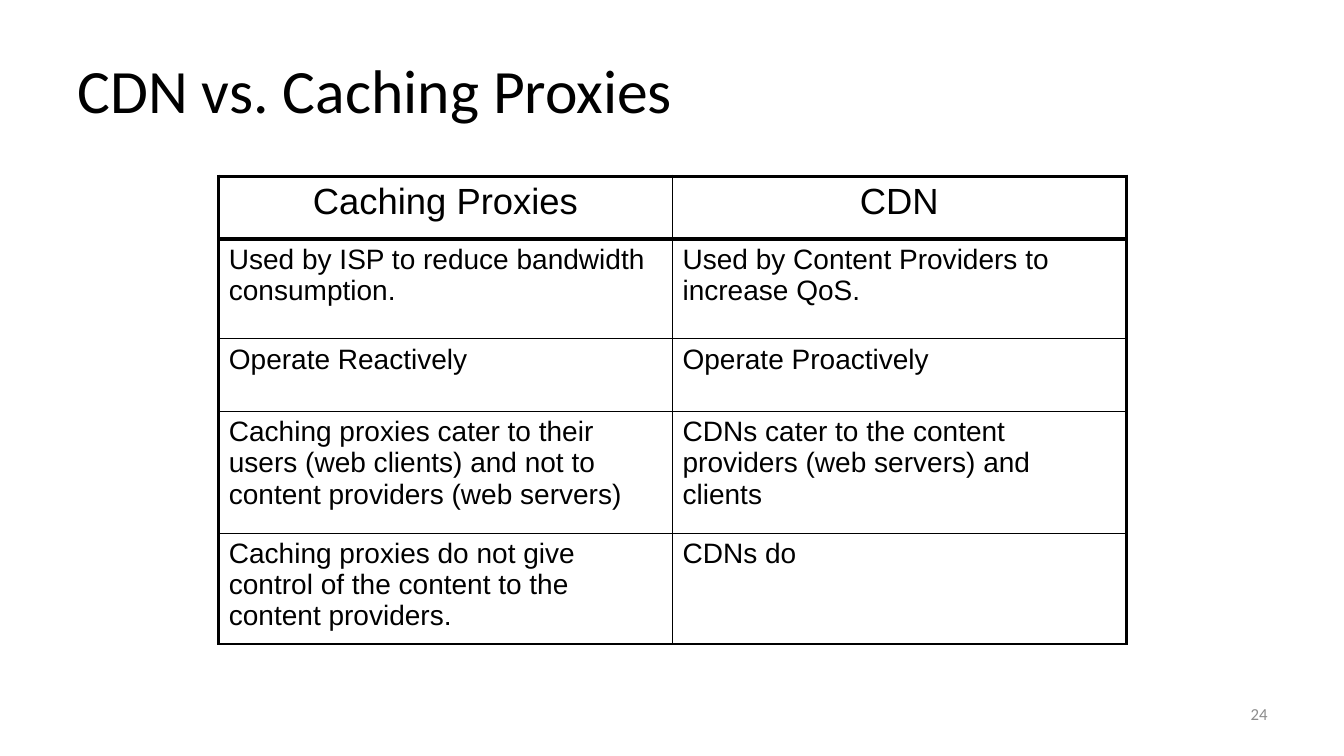
from lxml import etree
from pptx import Presentation
from pptx.dml.color import RGBColor
from pptx.enum.text import MSO_ANCHOR, PP_ALIGN
from pptx.oxml.ns import qn
from pptx.util import Inches, Pt

LEFT, CENTER, RIGHT = PP_ALIGN.LEFT, PP_ALIGN.CENTER, PP_ALIGN.RIGHT
MIDDLE = MSO_ANCHOR.MIDDLE
BLACK, GRAY = "000000", "8C8C8C"
THIN, OUTER, HEADER = 1, 2.25, 3


def write(frame, text, font, size, color, align):
    frame.word_wrap = True
    para = frame.paragraphs[0]
    para.text = text
    para.alignment = align
    para.font.name = font
    para.font.size = Pt(size)
    para.font.color.rgb = RGBColor.from_string(color)
    return para


def add_border(cell, side, width):
    properties = cell._tc.get_or_add_tcPr()
    line = etree.SubElement(properties, qn(f"a:ln{side}"), w=str(Pt(width)))
    fill = etree.SubElement(line, qn("a:solidFill"))
    etree.SubElement(fill, qn("a:srgbClr"), val=BLACK)


deck = Presentation()
deck.slide_width, deck.slide_height = Inches(13.33), Inches(7.5)
page = deck.slides.add_slide(deck.slide_layouts[6])

# Title and page number
for text, place, size, color, align, spacing in [
    ("CDN vs. Caching Proxies", (0.67, 0.3, 12, 1.25), 44, BLACK, LEFT, 0.9),
    ("24", (9.56, 6.83, 3.11, 0.5), 12, GRAY, RIGHT, 1.0),
]:
    box = page.shapes.add_textbox(*map(Inches, place))
    box.text_frame.vertical_anchor = MIDDLE
    para = write(box.text_frame, text, "Calibri", size, color, align)
    para.line_spacing = spacing

# Comparison table
comparison = [
    (0.62, "Caching Proxies", "CDN"),
    (0.99, "Used by ISP to reduce bandwidth consumption.",
     "Used by Content Providers to increase QoS."),
    (0.72, "Operate Reactively", "Operate Proactively"),
    (1.21, "Caching proxies cater to their users (web clients) and not to "
     "content providers (web servers)",
     "CDNs cater to the content providers (web servers) and clients"),
    (0.87, "Caching proxies do not give control of the content to the "
     "content providers.", "CDNs do"),
]
last = len(comparison) - 1
table = page.shapes.add_table(len(comparison), 2, Inches(2.17), Inches(1.75),
                              Inches(9), Inches(4.41)).table
table.horz_banding = False
for row, (height, *texts) in enumerate(comparison):
    table.rows[row].height = Inches(height)
    size, align = (26, CENTER) if row == 0 else (20, LEFT)
    for column, text in enumerate(texts):
        cell = table.cell(row, column)
        write(cell.text_frame, text, "Arial", size, BLACK, align).font.bold = False
        # Heavy frame and header rule, thin lines inside
        add_border(cell, "L", OUTER if column == 0 else THIN)
        add_border(cell, "R", OUTER if column == 1 else THIN)
        add_border(cell, "T", HEADER if row <= 1 else THIN)
        add_border(cell, "B", HEADER if row == 0 else OUTER if row == last else THIN)
        cell.fill.background()

deck.save("out.pptx")
